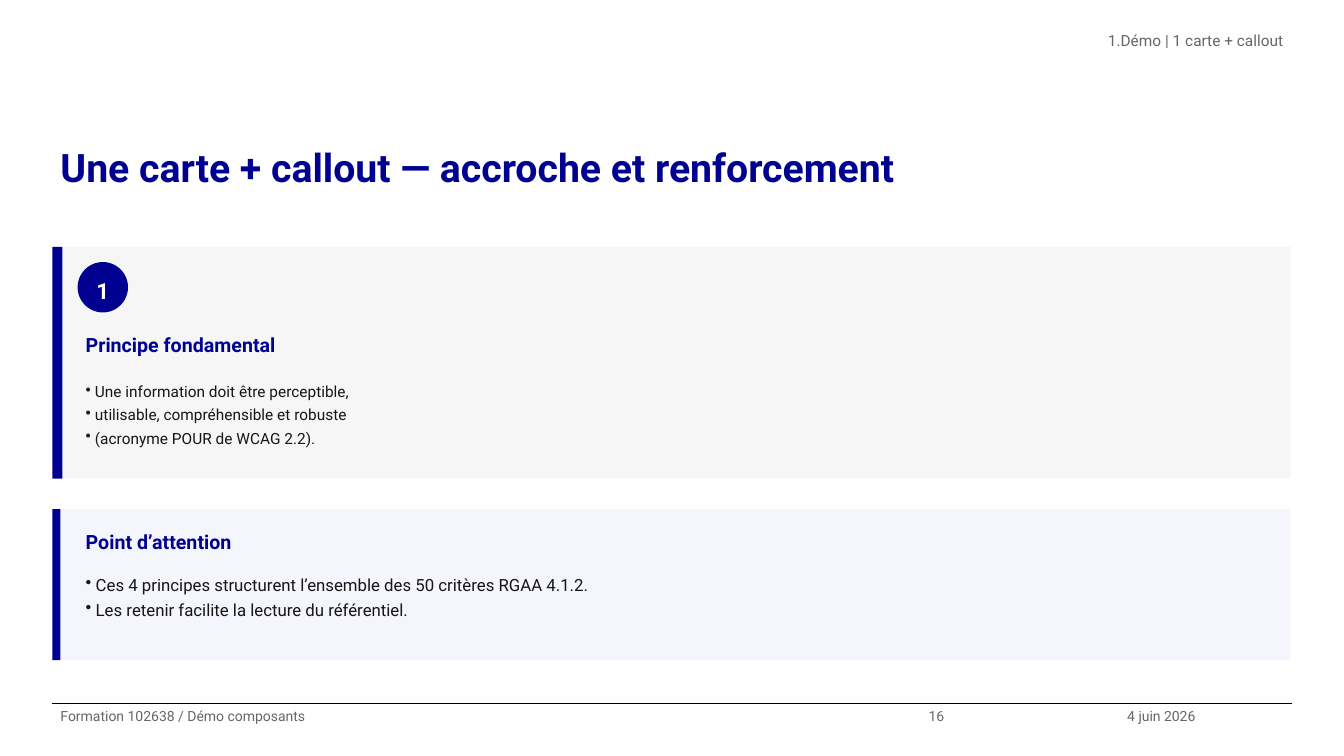
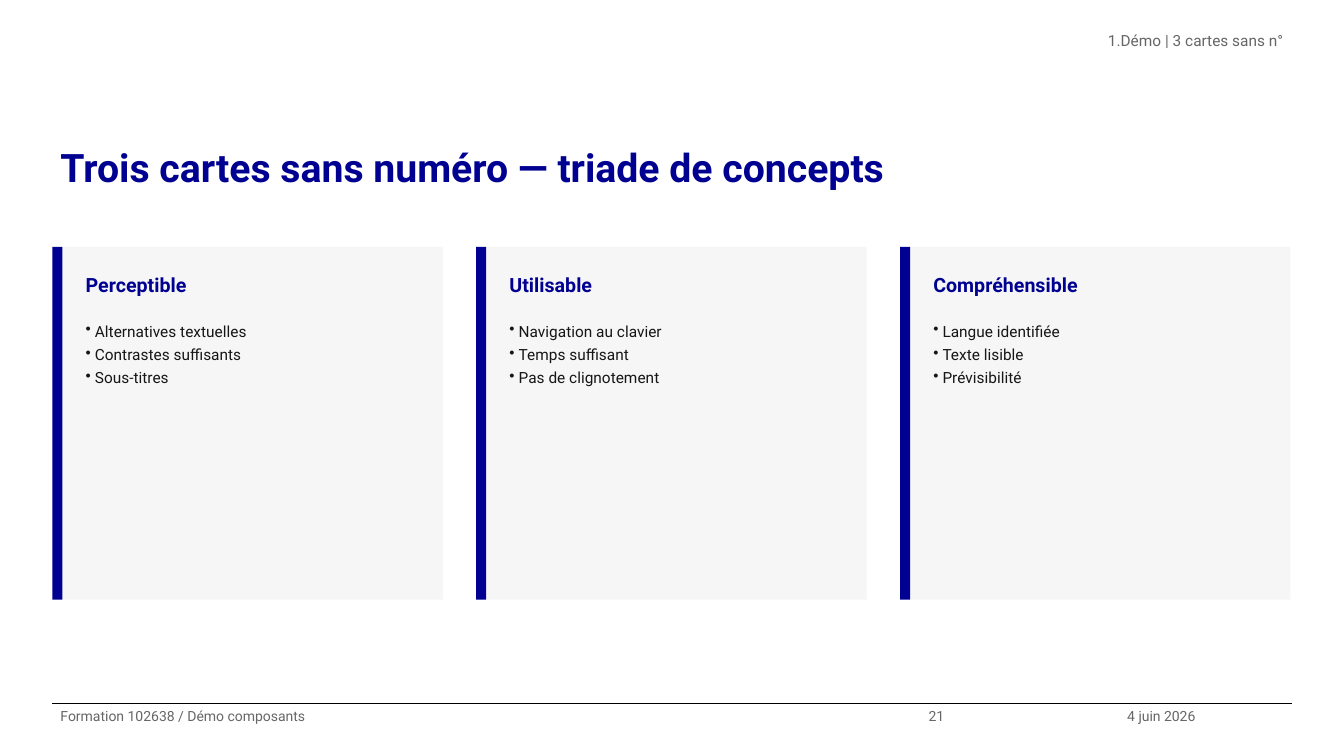
import pptx
import pptx.util
import pptx.dml.color
import pptx.enum.shapes
import pptx.enum.text
import pptx.oxml.ns
import lxml.etree

Inches = pptx.util.Inches
RGBColor = pptx.dml.color.RGBColor
PP_ALIGN = pptx.enum.text.PP_ALIGN
MSO_ANCHOR = pptx.enum.text.MSO_ANCHOR
MSO_SHAPE = pptx.enum.shapes.MSO_SHAPE
qn = pptx.oxml.ns.qn

# Shared style
FONT = "Roboto"
BLUE = RGBColor(0x00, 0x00, 0x91)
INK = RGBColor(0x16, 0x16, 0x16)
GREY = RGBColor(0x66, 0x66, 0x66)
BLACK = RGBColor(0x00, 0x00, 0x00)
WHITE = RGBColor(0xFF, 0xFF, 0xFF)
CARD_FILL = RGBColor(0xF6, 0xF6, 0xF6)
CALLOUT_FILL = RGBColor(0xF5, 0xF5, 0xFE)

# Shared grid, in inches
LEFT, WIDTH = 0.52, 12.28
CARD_TOP, CARD_GAP = 2.45, 0.33
FOOTER_TOP, FOOTER_HEIGHT = 6.98, 0.52
TEXT_INDENT = 0.25


def add_bullet(paragraph, tag, indent, **attributes):
    """Give a paragraph a hanging bullet or number."""
    properties = paragraph._p.get_or_add_pPr()
    properties.set("marL", str(Inches(indent)))
    properties.set("indent", str(-Inches(indent)))
    lxml.etree.SubElement(properties, qn(tag), attributes)


def write_text(frame, lines, size=11, color=INK, bold=False, align=PP_ALIGN.LEFT,
               anchor=MSO_ANCHOR.TOP, margin=0.0, bullets=False, numbered=False):
    frame.word_wrap = True
    frame.vertical_anchor = anchor
    frame.margin_left = frame.margin_right = Inches(0.08)
    frame.margin_top = frame.margin_bottom = Inches(margin)
    for index, line in enumerate(lines):
        paragraph = frame.add_paragraph() if index else frame.paragraphs[0]
        if bullets:
            add_bullet(paragraph, "a:buChar", size / 120, char="•")
        elif numbered:
            add_bullet(paragraph, "a:buAutoNum", 0.12, type="arabicPeriod")
        paragraph.alignment = align
        paragraph.line_spacing = 1.25
        run = paragraph.add_run()
        run.text = line
        run.font.name = FONT
        run.font.size = pptx.util.Pt(size)
        run.font.bold = bold
        run.font.color.rgb = color


def add_text(slide, x, y, w, h, *lines, **style):
    box = slide.shapes.add_textbox(Inches(x), Inches(y), Inches(w), Inches(h))
    write_text(box.text_frame, lines, **style)


def add_block(slide, x, y, w, h, fill, preset=MSO_SHAPE.RECTANGLE):
    block = slide.shapes.add_shape(preset, Inches(x), Inches(y), Inches(w), Inches(h))
    block.shadow.inherit = False
    block.fill.solid()
    block.fill.fore_color.rgb = fill
    block.line.fill.background()
    return block


def add_panel(slide, x, y, w, h, heading, items, fill=CARD_FILL, bar=0.1,
              pad=0.15, size=11, number=None):
    """Tinted panel with a side bar, a heading, bullets and an optional number."""
    add_block(slide, x + bar, y, w - bar, h, fill)
    add_block(slide, x, y, bar, h, BLUE)
    text_x, text_w = x + TEXT_INDENT, w - TEXT_INDENT - pad
    heading_y = y + pad
    if number:
        badge = add_block(slide, text_x, heading_y, 0.5, 0.5, BLUE, MSO_SHAPE.OVAL)
        write_text(badge.text_frame, [number], size=16, color=WHITE, bold=True,
                   align=PP_ALIGN.CENTER, anchor=MSO_ANCHOR.MIDDLE, margin=0.05)
        heading_y += 0.6
    heading_h = pad + 0.3
    items_y = heading_y + heading_h + 0.05
    add_text(slide, text_x, heading_y, text_w, heading_h, heading,
             size=14, color=BLUE, bold=True, margin=0.05)
    add_text(slide, text_x, items_y, text_w, y + h - pad - items_y, *items,
             size=size, margin=0.05, bullets=True)


def add_card_row(slide, cards, height):
    width = (WIDTH - CARD_GAP * (len(cards) - 1)) / len(cards)
    for column, (heading, items) in enumerate(cards):
        add_panel(slide, LEFT + column * (width + CARD_GAP), CARD_TOP, width, height,
                  heading, items)


def add_base_slide(deck, title, section, page):
    """Slide with its title, section label, footer rule and footer texts."""
    slide = deck.slides.add_slide(deck.slide_layouts[6])
    rule = slide.shapes.add_connector(
        pptx.enum.shapes.MSO_CONNECTOR.STRAIGHT, Inches(LEFT), Inches(FOOTER_TOP),
        Inches(LEFT + WIDTH + 0.01), Inches(FOOTER_TOP))
    rule.line.color.rgb = BLACK
    rule.line.width = pptx.util.Pt(0.8)
    lxml.etree.SubElement(rule._element.spPr, qn("a:effectLst"))
    add_text(slide, LEFT, 1.31, WIDTH, 1.05, title, size=28, color=BLUE, bold=True)
    add_text(slide, 4.83, 0.26, 7.98, 0.52, section, color=GREY,
             align=PP_ALIGN.RIGHT, numbered=True)
    footer = [(LEFT, 8.61, "Formation 102638 / Démo composants"),
              (9.13, 1.97, page),
              (11.1, 1.71, "4 juin 2026")]
    for x, width, text in footer:
        add_text(slide, x, FOOTER_TOP, width, FOOTER_HEIGHT, text, size=10, color=GREY)
    return slide


def main():
    deck = pptx.Presentation()
    deck.slide_width, deck.slide_height = Inches(13.33), Inches(7.5)

    # One numbered card and a callout
    slide = add_base_slide(deck, "Une carte + callout — accroche et renforcement",
                           "Démo | 1 carte + callout", "16")
    add_panel(slide, LEFT, CARD_TOP, WIDTH, 2.3, "Principe fondamental",
              ["Une information doit être perceptible,",
               "utilisable, compréhensible et robuste",
               "(acronyme POUR de WCAG 2.2)."], number="1")
    add_panel(slide, LEFT, 5.05, WIDTH, 1.5, "Point d’attention",
              ["Ces 4 principes structurent l’ensemble des 50 critères RGAA 4.1.2.",
               "Les retenir facilite la lecture du référentiel."],
              fill=CALLOUT_FILL, bar=0.08, pad=0.1, size=12)

    # Three cards without numbers
    slide = add_base_slide(deck, "Trois cartes sans numéro — triade de concepts",
                           "Démo | 3 cartes sans n°", "21")
    add_card_row(slide, [
        ("Perceptible",
         ["Alternatives textuelles", "Contrastes suffisants", "Sous-titres"]),
        ("Utilisable",
         ["Navigation au clavier", "Temps suffisant", "Pas de clignotement"]),
        ("Compréhensible",
         ["Langue identifiée", "Texte lisible", "Prévisibilité"]),
    ], height=3.5)

    deck.save("out.pptx")


if __name__ == "__main__":
    main()
